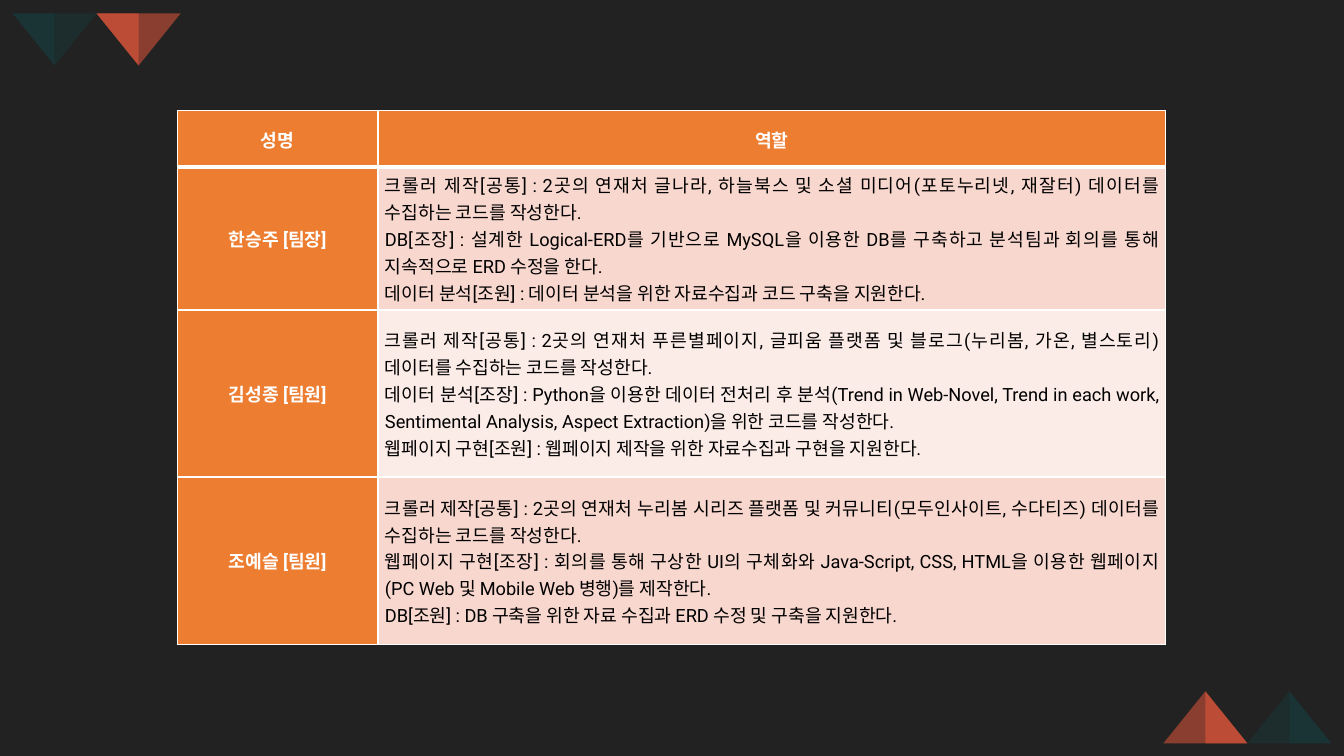
"""Build the team roles slide: a table of names and duties with corner triangles."""
from dataclasses import dataclass

from lxml import etree
from pptx import Presentation
from pptx import util as u
from pptx.dml import color
from pptx.enum import shapes, text
from pptx.oxml import ns

COLORS = {
    "background": "222222", "coral": "F15A3E", "teal": "193739",
    "header": "ED7D31", "band": "F8D7CE", "light": "FCECE8",
    "white": "FFFFFF", "black": "000000",
}
SLIDE_W, SLIDE_H = u.Inches(13.333), u.Inches(7.5)
GRID_COLS, GRID_ROWS = 16, 9
TRIANGLE_H = 0.62
ROLE_COLS = (2.39, 9.38)
ROLE_ROWS = (0.67, 1.7, 1.99, 1.99)


@dataclass
class Triangle:
    left: float
    top: float
    color: str
    half_alpha: int
    pointing_down: bool


@dataclass
class Member:
    name: str
    duties: tuple[str, ...]
    fill: str


TRIANGLES = (
    Triangle(1.15, 0.16, "coral", 50, True),
    Triangle(0.15, 0.16, "teal", 70, True),
    Triangle(13.85, 8.23, "coral", 50, False),
    Triangle(14.85, 8.23, "teal", 70, False),
)
MEMBERS = (
    Member("한승주 [팀장]", (
        "크롤러 제작[공통] : 2곳의 연재처 글나라, 하늘북스 및 소셜 미디어(포토누리넷, 재잘터) 데이터를 수집하는 코드를 작성한다.",
        "DB[조장] : 설계한 Logical-ERD를 기반으로 MySQL을 이용한 DB를 구축하고 분석팀과 회의를 통해 지속적으로 ERD 수정을 한다.",
        "데이터 분석[조원] : 데이터 분석을 위한 자료수집과 코드 구축을 지원한다.",
    ), "band"),
    Member("김성종 [팀원]", (
        "크롤러 제작[공통] : 2곳의 연재처 푸른별페이지, 글피움 플랫폼 및 블로그(누리봄, 가온, 별스토리) 데이터를 수집하는 코드를 작성한다.",
        "데이터 분석[조장] : Python을 이용한 데이터 전처리 후 분석(Trend in Web-Novel, Trend in each work, "
        "Sentimental Analysis, Aspect Extraction)을 위한 코드를 작성한다.",
        "웹페이지 구현[조원] : 웹페이지 제작을 위한 자료수집과 구현을 지원한다.",
    ), "light"),
    Member("조예슬 [팀원]", (
        "크롤러 제작[공통] : 2곳의 연재처 누리봄 시리즈 플랫폼 및 커뮤니티(모두인사이트, 수다티즈) 데이터를 수집하는 코드를 작성한다.",
        "웹페이지 구현[조장] : 회의를 통해 구상한 UI의 구체화와 Java-Script, CSS, HTML을 이용한 "
        "웹페이지(PC Web 및 Mobile Web 병행)를 제작한다.",
        "DB[조원] : DB 구축을 위한 자료 수집과 ERD 수정 및 구축을 지원한다.",
    ), "band"),
)


def rgb(name: str) -> color.RGBColor:
    """Return a named colour."""
    return color.RGBColor.from_string(COLORS[name])


def col(count: float) -> int:
    """Return the width of a number of grid columns."""
    return round(SLIDE_W * count / GRID_COLS)


def row(count: float) -> int:
    """Return the height of a number of grid rows."""
    return round(SLIDE_H * count / GRID_ROWS)


def draw_triangle(slide, triangle: Triangle) -> None:
    """Draw a triangle with one half shaded."""
    pair = slide.shapes.add_group_shape()
    half_left = triangle.left if triangle.pointing_down else triangle.left + 0.5
    facets = (
        (shapes.MSO_SHAPE.ISOSCELES_TRIANGLE, triangle.left, 1, 50),
        (shapes.MSO_SHAPE.RIGHT_TRIANGLE, half_left, 0.5, triangle.half_alpha),
    )
    for preset, left, width, alpha in facets:
        facet = pair.shapes.add_shape(
            preset, col(left), row(triangle.top), col(width), row(TRIANGLE_H))
        facet.rotation = 180 if triangle.pointing_down else 0
        facet.shadow.inherit = False
        facet.line.fill.background()
        facet.fill.solid()
        facet.fill.fore_color.rgb = rgb(triangle.color)
        tint = facet.element.spPr.find(ns.qn("a:solidFill"))[0]
        etree.SubElement(tint, ns.qn("a:alpha"), val=str(alpha * 1000))


def draw_borders(cell, top: float, bottom: float) -> None:
    """Give a cell white borders of the given top and bottom widths."""
    properties = cell._tc.get_or_add_tcPr()
    sides = (("a:lnL", 1), ("a:lnR", 1), ("a:lnT", top), ("a:lnB", bottom))
    for index, (side, width) in enumerate(sides):
        border = etree.Element(ns.qn(side), w=str(u.Pt(width)))
        fill = etree.SubElement(border, ns.qn("a:solidFill"))
        etree.SubElement(fill, ns.qn("a:srgbClr"), val=COLORS["white"])
        properties.insert(index, border)


def fill_cell(cell, lines: tuple[str, ...], fill: str, heading: bool) -> None:
    """Write and format the paragraphs of a cell."""
    cell.fill.solid()
    cell.fill.fore_color.rgb = rgb(fill)
    cell.vertical_anchor = text.MSO_ANCHOR.MIDDLE
    cell.margin_left = cell.margin_right = u.Inches(0.07)
    cell.margin_top = cell.margin_bottom = u.Inches(0.02)
    cell.text_frame.text = "\n".join(lines)
    for paragraph in cell.text_frame.paragraphs:
        paragraph.alignment = text.PP_ALIGN.CENTER if heading else text.PP_ALIGN.JUSTIFY
        paragraph.line_spacing = 1.03
        for run in paragraph.runs:
            run.font.name = "Roboto"
            run.font.size = u.Pt(13)
            run.font.bold = heading
            run.font.color.rgb = rgb("white" if heading else "black")


def draw_roles(slide) -> None:
    """Draw the table of members and duties."""
    roles = slide.shapes.add_table(
        len(ROLE_ROWS), len(ROLE_COLS), col(2.11), row(1.32),
        col(sum(ROLE_COLS)), row(sum(ROLE_ROWS))).table
    for column, width in zip(roles.columns, ROLE_COLS):
        column.width = col(width)
    for line, height in zip(roles.rows, ROLE_ROWS):
        line.height = row(height)
    fill_cell(roles.cell(0, 0), ("성명",), "header", True)
    fill_cell(roles.cell(0, 1), ("역할",), "header", True)
    for index, member in enumerate(MEMBERS, start=1):
        fill_cell(roles.cell(index, 0), (member.name,), "header", True)
        fill_cell(roles.cell(index, 1), member.duties, member.fill, False)
    for index, line in enumerate(roles.rows):
        for cell in line.cells:
            draw_borders(cell, 3 if index == 1 else 1, 3 if index == 0 else 1)


def main() -> None:
    """Build and save the slide."""
    deck = Presentation()
    deck.slide_width, deck.slide_height = SLIDE_W, SLIDE_H
    slide = deck.slides.add_slide(deck.slide_layouts[6])
    slide.background.fill.solid()
    slide.background.fill.fore_color.rgb = rgb("background")
    for triangle in TRIANGLES:
        draw_triangle(slide, triangle)
    draw_roles(slide)
    deck.save("out.pptx")


if __name__ == "__main__":
    main()
